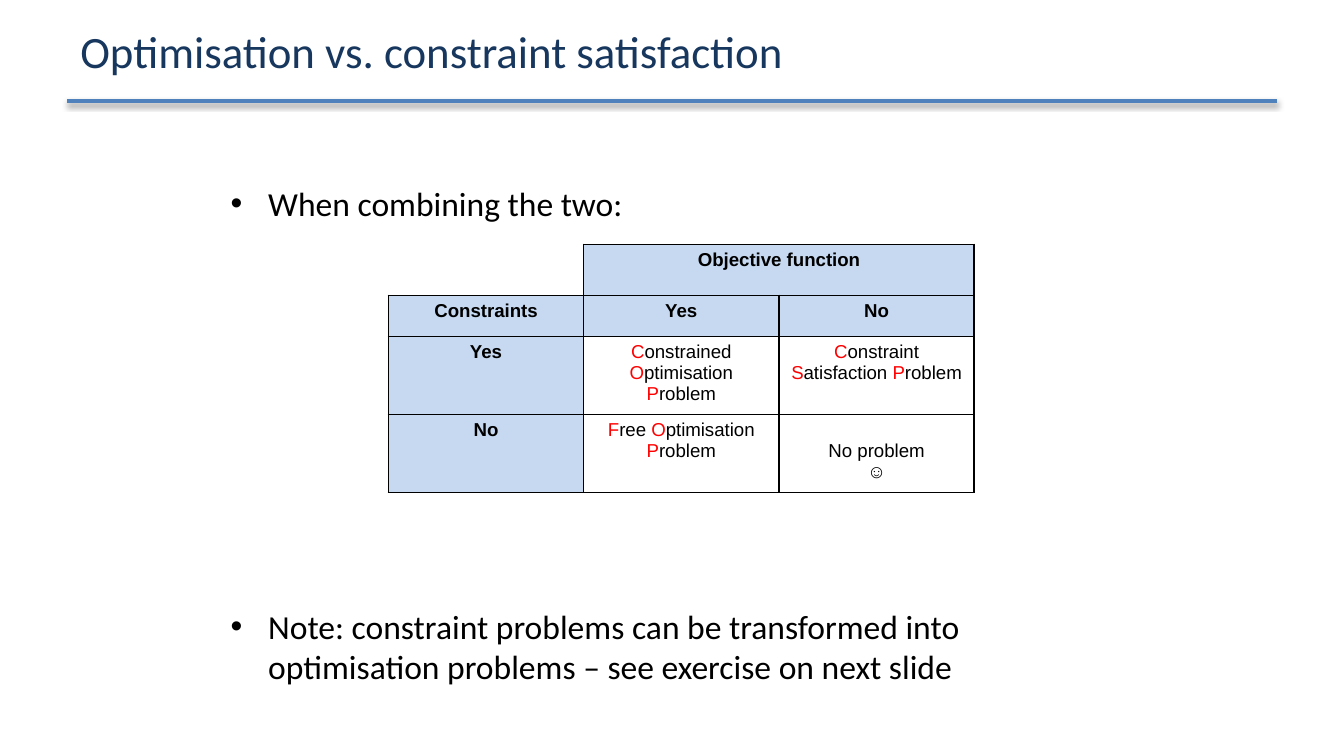
from dataclasses import dataclass

from lxml.etree import SubElement
from pptx import Presentation
from pptx.dml.color import RGBColor
from pptx.enum.shapes import MSO_CONNECTOR
from pptx.enum.text import MSO_ANCHOR, PP_ALIGN
from pptx.oxml import parse_xml
from pptx.oxml.ns import nsdecls, qn
from pptx.util import Cm, Pt


@dataclass(frozen=True)
class Theme:
    navy: str = "17375E"
    blue: str = "4F81BD"
    header: str = "C6D9F1"
    red: str = "FF0000"
    black: str = "000000"
    white: str = "FFFFFF"
    text_font: str = "Calibri"
    table_font: str = "Arial"
    title_size: int = 24
    body_size: int = 18
    table_size: int = 10


THEME = Theme()
BODY_FORMAT = {"name": THEME.text_font, "size": Pt(THEME.body_size)}
TITLE_FORMAT = {"name": THEME.text_font, "size": Pt(THEME.title_size)}
CELL_FORMAT = {"name": THEME.table_font, "size": Pt(THEME.table_size)}
LABEL_FORMAT = {**CELL_FORMAT, "bold": True}

# Each cell holds its lines of text.
TABLE_ROWS = [
    [[], ["Objective function"], []],
    [["Constraints"], ["Yes"], ["No"]],
    [["Yes"], ["Constrained Optimisation Problem"], ["Constraint Satisfaction Problem"]],
    [["No"], ["Free Optimisation Problem"], ["No problem", "☺"]],
]
ROW_HEIGHTS = [0.78, 0.78, 1.47, 1.47]


def set_attributes(target, values):
    for name, value in values.items():
        setattr(target, name, value)


def add_run(paragraph, text, font_format, color=THEME.black):
    run = paragraph.add_run()
    run.text = text
    set_attributes(run.font, font_format)
    run.font.color.rgb = RGBColor.from_string(color)


def add_text_frame(slide, box, frame_format):
    frame = slide.shapes.add_textbox(*map(Cm, box)).text_frame
    set_attributes(frame, {"word_wrap": True, **frame_format})
    return frame


def add_title(slide, box, text):
    """Place the title with a shadowed rule just below its box."""
    left, top, width, height = box
    rule_top = Cm(top + height + 0.03)
    rule = slide.shapes.add_connector(
        MSO_CONNECTOR.STRAIGHT, Cm(left), rule_top, Cm(left + width), rule_top)
    rule.line.color.rgb = RGBColor.from_string(THEME.blue)
    rule.line.width = Pt(2)
    rule._element.spPr.append(parse_xml(
        f'<a:effectLst {nsdecls("a")}>'
        f'<a:outerShdw blurRad="{Pt(3.1)}" dist="{Pt(1.6)}" dir="5400000" rotWithShape="0">'
        f'<a:srgbClr val="{THEME.black}"><a:alpha val="38000"/></a:srgbClr>'
        '</a:outerShdw></a:effectLst>'))
    frame = add_text_frame(slide, box, {
        "vertical_anchor": MSO_ANCHOR.MIDDLE, "margin_top": 0, "margin_bottom": 0})
    add_run(frame.paragraphs[0], text, TITLE_FORMAT, THEME.navy)


def add_bullets(slide, box, texts, gap):
    """Place bulleted paragraphs, with the gap in points between them."""
    frame = add_text_frame(slide, box, {})
    for index, text in enumerate(texts):
        paragraph = frame.add_paragraph() if index else frame.paragraphs[0]
        properties = paragraph._p.get_or_add_pPr()
        properties.set("marL", str(Cm(0.71)))
        properties.set("indent", str(-Cm(0.71)))
        SubElement(properties, qn("a:buFont"), typeface="Arial")
        SubElement(properties, qn("a:buChar"), char="•")
        if index:
            paragraph.space_before = Pt(gap)
        add_run(paragraph, text, BODY_FORMAT)


def set_borders(cell, colors):
    """Draw the left, right, top and bottom borders in the given colours."""
    properties = cell._tc.get_or_add_tcPr()
    for side, color in zip("LRTB", colors):
        properties.append(parse_xml(
            f'<a:ln{side} {nsdecls("a")} w="{Pt(1)}"><a:solidFill>'
            f'<a:srgbClr val="{color}"/></a:solidFill></a:ln{side}>'))


def add_problem_name(paragraph, text):
    """Write the name of a problem class with its initials in red."""
    words = text.split()
    for index, word in enumerate(words):
        ending = " " if index < len(words) - 1 else ""
        add_run(paragraph, word[0], CELL_FORMAT, THEME.red)
        add_run(paragraph, word[1:] + ending, CELL_FORMAT)


def fill_cell(cell, lines, is_label):
    set_attributes(cell, {"margin_left": Cm(0.18), "margin_right": Cm(0.18),
                          "margin_top": Cm(0.1), "margin_bottom": Cm(0.1)})
    if is_label:
        cell.fill.solid()
        cell.fill.fore_color.rgb = RGBColor.from_string(THEME.header)
    else:
        cell.fill.background()
    if len(lines) > 1:
        cell.margin_top = Cm(0.5)
    for index, line in enumerate(lines):
        frame = cell.text_frame
        paragraph = frame.add_paragraph() if index else frame.paragraphs[0]
        paragraph.alignment = PP_ALIGN.CENTER
        if is_label:
            add_run(paragraph, line, LABEL_FORMAT)
        elif len(lines) > 1:
            add_run(paragraph, line, CELL_FORMAT)
        else:
            add_problem_name(paragraph, line)


def add_problem_table(slide, box):
    table = slide.shapes.add_table(len(TABLE_ROWS), len(TABLE_ROWS[0]), *map(Cm, box)).table
    set_attributes(table, {"first_row": False, "horz_banding": False})
    for column in table.columns:
        column.width = Cm(box[2] / len(table.columns))
    for row, height in zip(table.rows, ROW_HEIGHTS):
        row.height = Cm(height)
    table.cell(0, 1).merge(table.cell(0, 2))
    for row_index, row in enumerate(TABLE_ROWS):
        for column_index, lines in enumerate(row):
            cell = table.cell(row_index, column_index)
            is_corner = row_index == column_index == 0
            outer = THEME.white if is_corner else THEME.black
            set_borders(cell, [outer, THEME.black, outer, THEME.black])
            is_label = not is_corner and (row_index < 2 or column_index == 0)
            fill_cell(cell, lines, is_label)


def main():
    presentation = Presentation()
    presentation.slide_width = Cm(25.4)
    presentation.slide_height = Cm(14.29)
    slide = presentation.slides.add_slide(presentation.slide_layouts[6])
    add_title(slide, (1.27, 0.05, 22.86, 1.83), "Optimisation vs. constraint satisfaction")
    add_bullets(slide, (4.11, 3.33, 17.15, 9.9), [
        "When combining the two:",
        "Note: constraint problems can be transformed into optimisation problems "
        "– see exercise on next slide",
    ], gap=205)
    add_problem_table(slide, (7.34, 4.62, 11.07, sum(ROW_HEIGHTS)))
    presentation.save("out.pptx")


if __name__ == "__main__":
    main()
